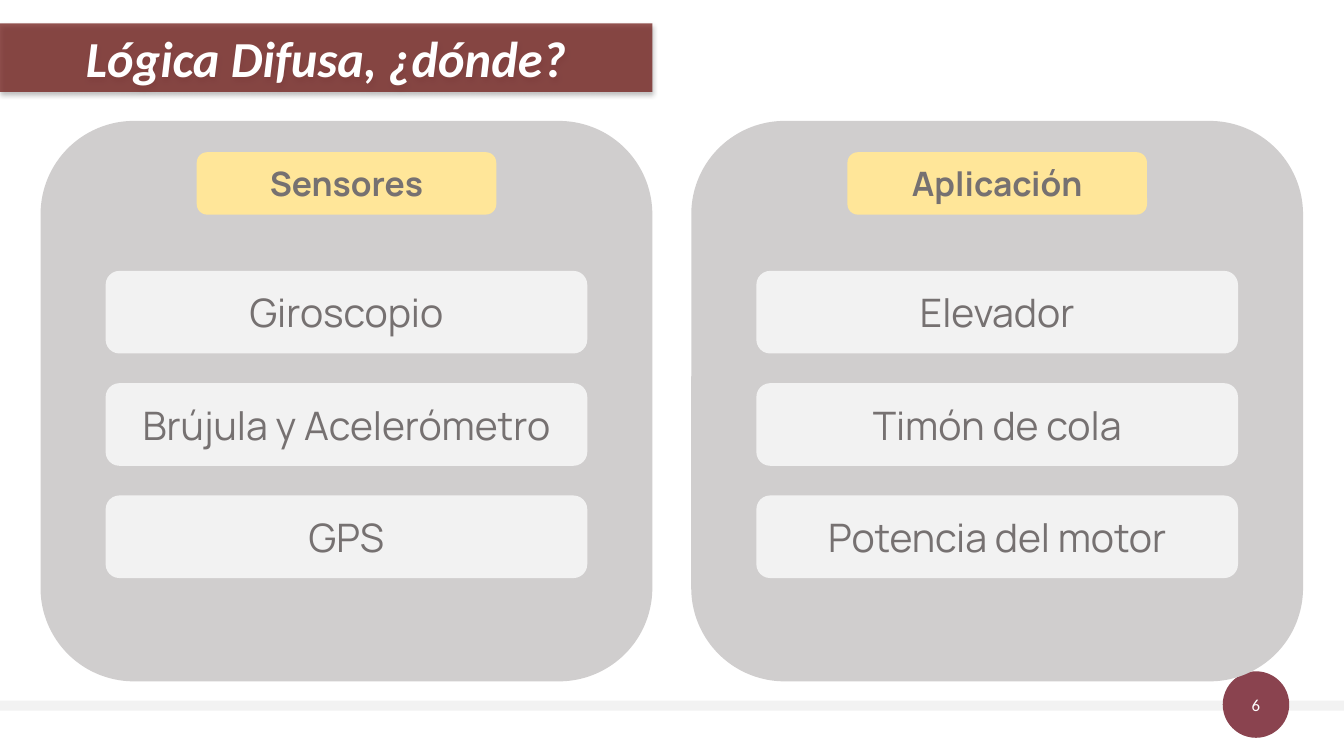
from dataclasses import dataclass

from lxml import etree
from pptx import Presentation
from pptx.dml.color import RGBColor
from pptx.enum import shapes, text
from pptx.oxml import ns
from pptx.util import Pt


@dataclass(frozen=True)
class Theme:
    title_fill: str = "731F1C"
    badge_fill: str = "8A434F"
    panel_fill: str = "D0CECE"
    heading_fill: str = "FFE699"
    light_fill: str = "F2F2F2"
    shadow: str = "000000"
    white: str = "FFFFFF"
    grey_text: str = "767171"
    title_size: int = 36
    heading_size: int = 24
    item_size: int = 28
    number_size: int = 12
    title_font: str = "Calibri"
    body_font: str = "Manrope"


THEME = Theme()
KIND = shapes.MSO_SHAPE

TITLE = {"name": THEME.title_font, "size": THEME.title_size,
         "color": THEME.white, "bold": True, "italic": True}
NUMBER = {"name": THEME.title_font, "size": THEME.number_size,
          "color": THEME.white}
HEADING = {"name": THEME.body_font, "size": THEME.heading_size,
           "color": THEME.grey_text, "bold": True}
ITEM = {"name": THEME.body_font, "size": THEME.item_size,
        "color": THEME.grey_text}

PANEL_TOP, PANEL_WIDTH, PANEL_HEIGHT = 86.4, 437, 400.3
HEADING_TOP, HEADING_WIDTH, HEADING_HEIGHT = 108.7, 214, 44.6
ITEM_TOP, ITEM_WIDTH, ITEM_HEIGHT, ITEM_STEP = 193.5, 344, 59, 80.2

PANELS = [
    (29, "Sensores", ["Giroscopio", "Brújula y Acelerómetro", "GPS"]),
    (493.8, "Aplicación", ["Elevador", "Timón de cola", "Potencia del motor"]),
]


def add_block(page, kind, place, fill):
    block = page.shapes.add_shape(kind, *(Pt(length) for length in place))
    block.shadow.inherit = False
    block.fill.solid()
    block.fill.fore_color.rgb = RGBColor.from_string(fill)
    block.line.fill.background()
    return block


def write(block, words, style):
    """Centre one line of styled text in the block."""
    frame = block.text_frame
    frame.word_wrap = True
    frame.vertical_anchor = text.MSO_ANCHOR.MIDDLE
    for side in ("left", "top", "right", "bottom"):
        setattr(frame, f"margin_{side}", 0)
    para = frame.paragraphs[0]
    para.alignment = text.PP_ALIGN.CENTER
    span = para.add_run()
    span.text = words
    values = dict(style)
    span.font.color.rgb = RGBColor.from_string(values.pop("color"))
    values["size"] = Pt(values["size"])
    for name, value in values.items():
        setattr(span.font, name, value)


def add_alpha(color, percent):
    etree.SubElement(color, ns.qn("a:alpha"), val=str(percent * 1000))


def add_title(page, words):
    """Add the translucent title band with a soft shadow below it."""
    band = add_block(page, KIND.RECTANGLE, (0, 16.6, 466, 49), THEME.title_fill)
    properties = band._element.spPr
    add_alpha(properties.find(ns.qn("a:solidFill"))[0], 76)
    effects = properties.find(ns.qn("a:effectLst"))
    shadow = etree.SubElement(
        effects, ns.qn("a:outerShdw"), blurRad=str(Pt(3.5)), dist=str(Pt(2.2)),
        dir=str(90 * 60000), algn="t", rotWithShape="0")
    color = etree.SubElement(shadow, ns.qn("a:srgbClr"), val=THEME.shadow)
    add_alpha(color, 32)
    write(band, words, TITLE)


def add_footer(page, number):
    add_block(page, KIND.RECTANGLE, (0, 500.4, 960, 7.2), THEME.light_fill)
    badge = add_block(page, KIND.OVAL, (873.4, 479.5, 47.5, 47.5),
                      THEME.badge_fill)
    write(badge, number, NUMBER)


def add_label(page, center, top, width, height, fill, words, style):
    place = (center - width / 2, top, width, height)
    write(add_block(page, KIND.ROUNDED_RECTANGLE, place, fill), words, style)


def add_panel(page, left, heading, items):
    add_block(page, KIND.ROUNDED_RECTANGLE,
              (left, PANEL_TOP, PANEL_WIDTH, PANEL_HEIGHT), THEME.panel_fill)
    center = left + PANEL_WIDTH / 2
    add_label(page, center, HEADING_TOP, HEADING_WIDTH, HEADING_HEIGHT,
              THEME.heading_fill, heading, HEADING)
    for row, item in enumerate(items):
        add_label(page, center, ITEM_TOP + row * ITEM_STEP, ITEM_WIDTH,
                  ITEM_HEIGHT, THEME.light_fill, item, ITEM)


def main():
    deck = Presentation()
    deck.slide_width, deck.slide_height = Pt(960), Pt(540)
    page = deck.slides.add_slide(deck.slide_layouts[6])
    add_footer(page, "6")
    add_title(page, "Lógica Difusa, ¿dónde?")
    for panel in PANELS:
        add_panel(page, *panel)
    deck.save("out.pptx")


if __name__ == "__main__":
    main()
